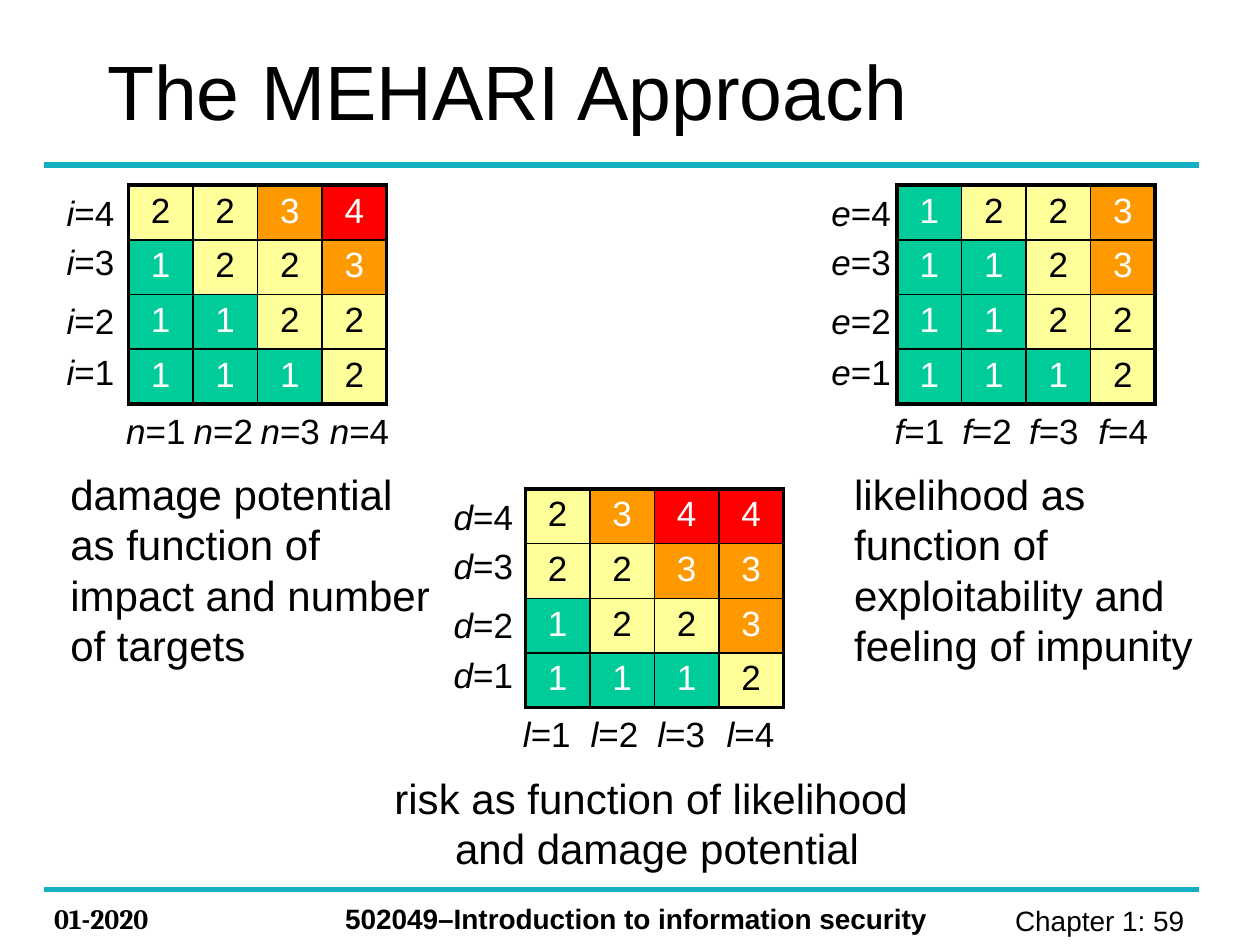
from lxml import etree
from pptx import Presentation
from pptx.dml.color import RGBColor
from pptx.enum import shapes, text
from pptx.oxml import ns
from pptx.util import Pt

LEFT, CENTER, RIGHT = text.PP_ALIGN.LEFT, text.PP_ALIGN.CENTER, text.PP_ALIGN.RIGHT
COLUMN_WIDTH, ROW_HEIGHT = 36.9, 31.1
LABEL_HEIGHT = 30.6
ROW_LABEL_TOPS = [0, 28.1, 61.9, 90.7]
COLUMN_LABEL_LEFTS = [-8.4, 30.2, 68.4, 108]
LEVEL_COLORS = {  # level: (fill, text)
    "1": ("00CC99", "FFFFFF"),
    "2": ("FFFF99", "000000"),
    "3": ("FF9900", "FFFFFF"),
    "4": ("FF0000", "FFFFFF"),
}


def color(value):
    return RGBColor.from_string(value)


def add_text(position, paragraphs, size, align=LEFT, bold=False, name="Arial"):
    """Add a text box; each paragraph is a list of (wording, italic) pairs."""
    box = page.shapes.add_textbox(*[Pt(length) for length in position])
    frame = box.text_frame
    frame.word_wrap = False
    frame.auto_size = text.MSO_AUTO_SIZE.SHAPE_TO_FIT_TEXT
    for index, spans in enumerate(paragraphs):
        para = frame.paragraphs[0] if index == 0 else frame.add_paragraph()
        para.alignment = align
        for wording, italic in spans:
            span = para.add_run()
            span.text = wording
            span.font.name, span.font.size = name, Pt(size)
            span.font.bold, span.font.italic = bold, italic
            span.font.color.rgb = color("000000")


deck = Presentation()
deck.slide_width, deck.slide_height = Pt(720), Pt(540)
page = deck.slides.add_slide(deck.slide_layouts[5])

# Rules above and below the content
for y in (94.3, 508.3):
    rule = page.shapes.add_connector(
        shapes.MSO_CONNECTOR.STRAIGHT, Pt(25.2), Pt(y), Pt(685.4), Pt(y))
    rule.line.color.rgb = color("16AFC2")
    rule.line.width = Pt(3)
    etree.SubElement(rule._element.spPr, ns.qn("a:effectLst"))

# Footer
add_text((23.8, 511.9, 95.8, 26.6), [[("01-2020", False)]], 16, bold=True, name="Cambria")
add_text((190.1, 511.9, 362.9, 26.6),
         [[("502049–Introduction to information security", False)]], 16, bold=True)
add_text((529.9, 512.6, 158.4, 26.6), [[("Chapter 1: 59 ", False)]], 16, RIGHT)

# Title
title = page.shapes.title
title.left, title.top, title.width, title.height = Pt(54), Pt(20.2), Pt(606.2), Pt(62.6)
title.text_frame.text = "The MEHARI Approach"
title.text_frame.vertical_anchor = text.MSO_ANCHOR.MIDDLE
heading = title.text_frame.paragraphs[0]
heading.alignment = LEFT
heading.runs[0].font.name = "Arial"
heading.runs[0].font.size = Pt(44)
heading.runs[0].font.color.rgb = color("000000")

# left, top, levels, row letter, left and width of its labels,
# column letter, width of its labels
matrices = [
    (73.4, 105.8, ["2234", "1223", "1122", "1112"], "i", 31, 42, "n", 48.4),
    (512.6, 105.8, ["1223", "1123", "1122", "1112"], "e", 468, 48.4, "f", 43.2),
    (300.2, 279.4, ["2344", "2233", "1223", "1112"], "d", 252.2, 48.4, "l", 42),
]
for (left, top, levels, row_letter, label_left, row_label_width,
     column_letter, column_label_width) in matrices:
    count = len(levels)
    table = page.shapes.add_table(
        count, count, Pt(left), Pt(top),
        Pt(count * COLUMN_WIDTH), Pt(count * ROW_HEIGHT)).table
    table.first_row = table.horz_banding = False
    for index in range(count):
        table.columns[index].width = Pt(COLUMN_WIDTH)
        table.rows[index].height = Pt(ROW_HEIGHT)

    for row, row_levels in enumerate(levels):
        for column, level in enumerate(row_levels):
            fill, ink = LEVEL_COLORS[level]
            cell = table.cell(row, column)
            cell.text_frame.text = level
            para = cell.text_frame.paragraphs[0]
            para.alignment = CENTER
            font = para.runs[0].font
            font.name, font.size, font.color.rgb = "Arial", Pt(20), color(ink)

            outer_sides = {"lnL": column == 0, "lnR": column == count - 1,
                           "lnT": row == 0, "lnB": row == count - 1}
            properties = cell._tc.get_or_add_tcPr()
            for side, outer in outer_sides.items():
                border = etree.SubElement(properties, ns.qn("a:" + side),
                                          w=str(Pt(2.25 if outer else 1)))
                solid = etree.SubElement(border, ns.qn("a:solidFill"))
                etree.SubElement(solid, ns.qn("a:srgbClr"), val="000000")
            cell.fill.solid()
            cell.fill.fore_color.rgb = color(fill)

    for index in range(count):
        add_text((label_left, top + ROW_LABEL_TOPS[index], row_label_width, LABEL_HEIGHT),
                 [[(row_letter, True), (f"={count - index}", False)]], 20)
        add_text((left + COLUMN_LABEL_LEFTS[index], top + count * ROW_HEIGHT,
                  column_label_width, LABEL_HEIGHT),
                 [[(column_letter, True), (f"={index + 1}", False)]], 20)

# Captions
captions = [
    ((33.1, 264.2, 226.8, 122.4), LEFT,
     ["damage potential", "as function of", "impact and number", "of targets"]),
    ((481, 264.2, 208.1, 122.4), LEFT,
     ["likelihood as", "function of", "exploitability and", "feeling of impunity"]),
    ((218.2, 437.8, 314.6, 64.8), CENTER,
     ["risk as function of likelihood ", "and damage potential"]),
]
for position, align, lines in captions:
    add_text(position, [[(line, False)] for line in lines], 24, align)

deck.save("out.pptx")
